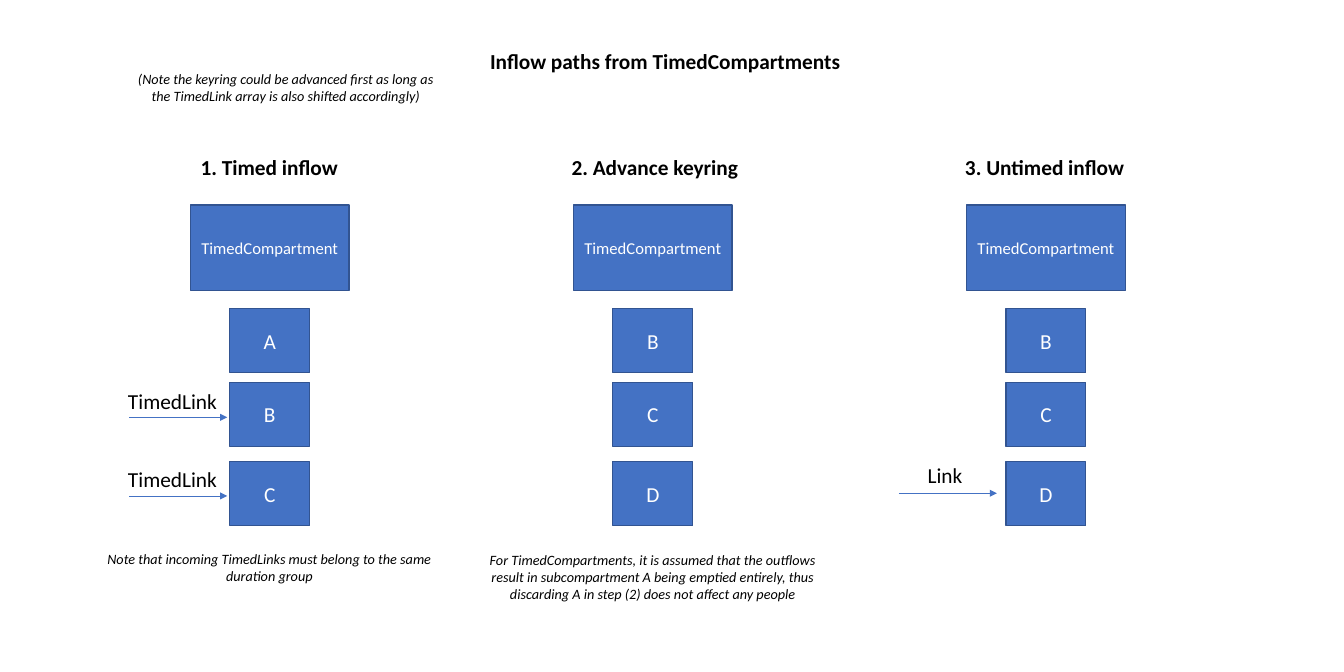
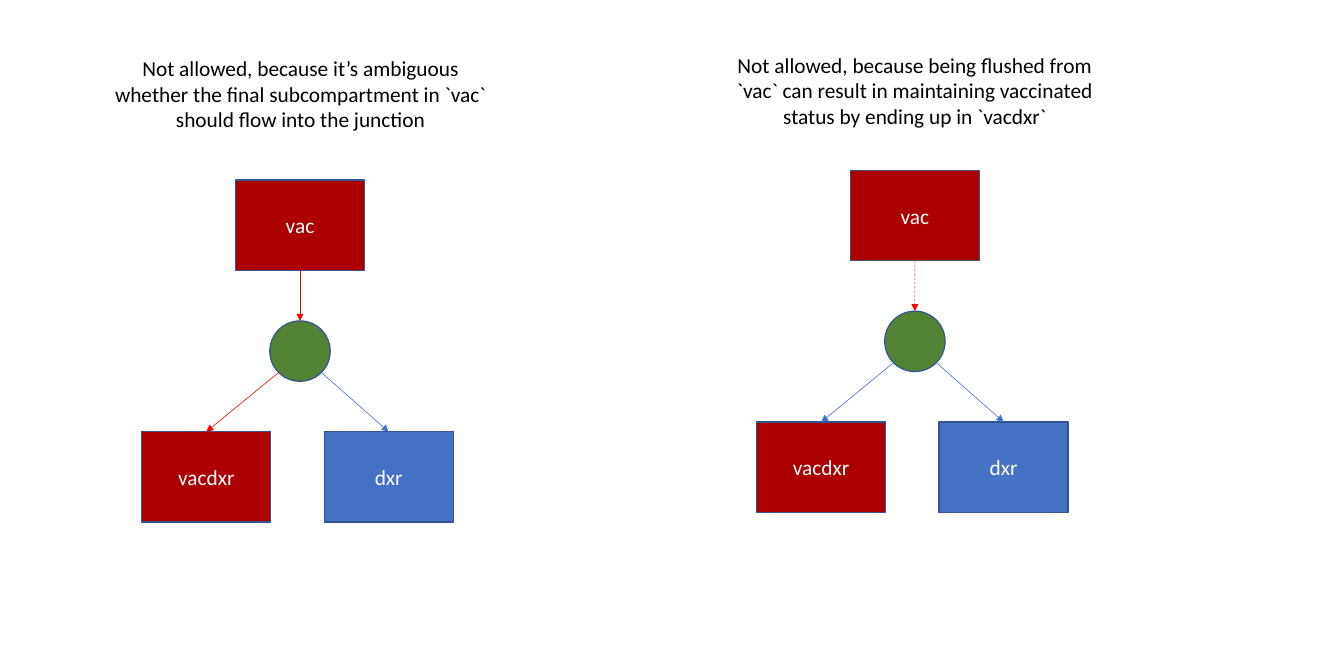
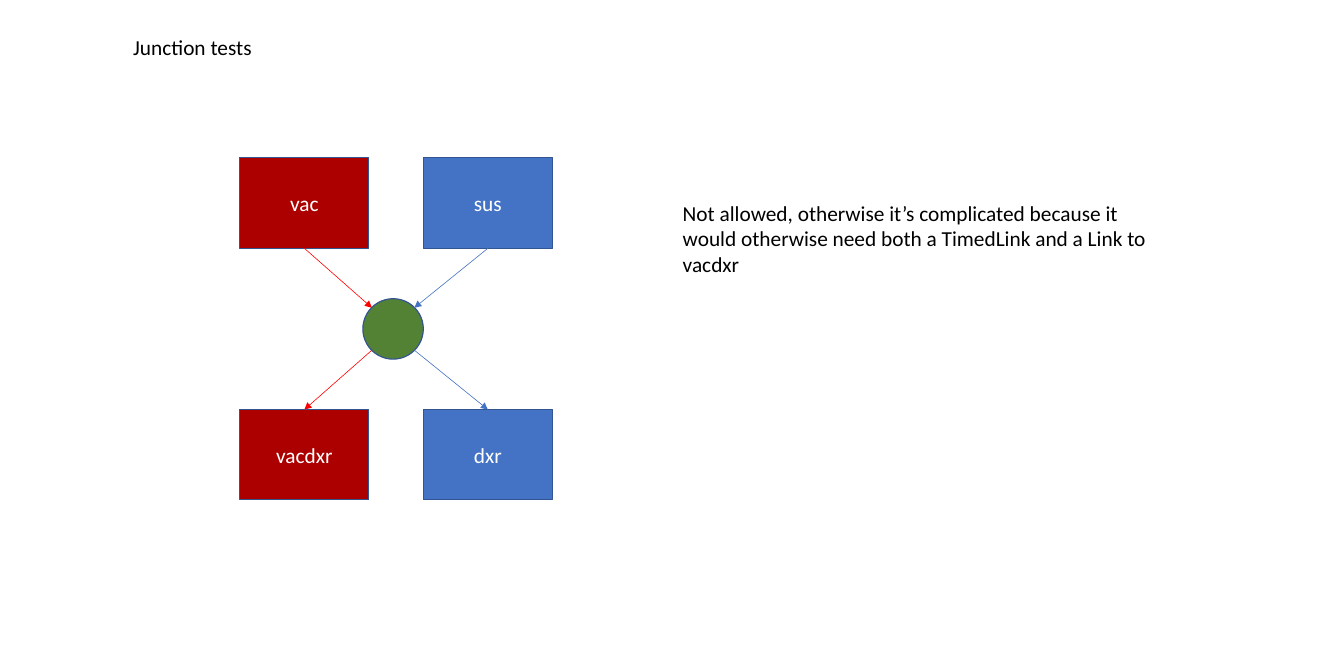
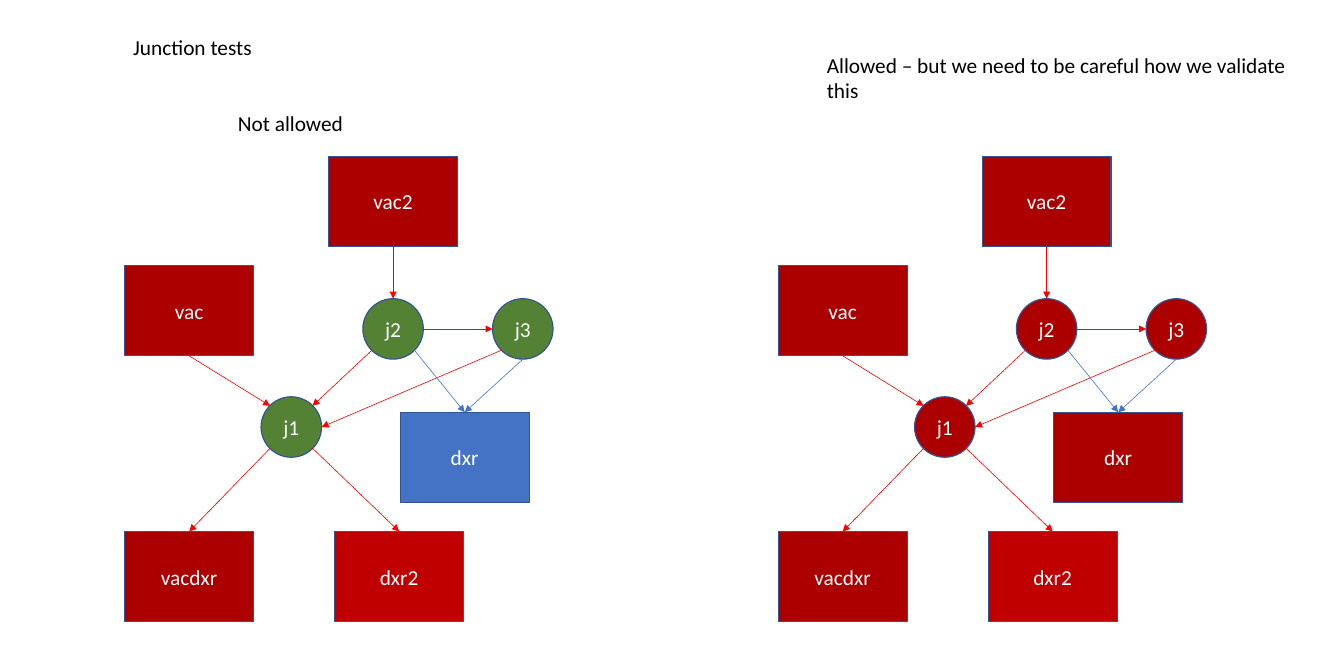
from lxml import etree
from pptx import Presentation
from pptx.dml import color
from pptx.enum import dml, shapes, text
from pptx.oxml import ns
from pptx.util import Cm, Pt

HUES = {"black": "000000", "white": "FFFFFF", "blue": "4472C4", "edge": "325491",
        "dark": "AC0000", "crimson": "C00000", "green": "548235",
        "red": "FF0000", "slate": "44546A"}
RGB = {name: color.RGBColor.from_string(code) for name, code in HUES.items()}
RECT, OVAL = shapes.MSO_SHAPE.RECTANGLE, shapes.MSO_SHAPE.OVAL
LEFT, MID = text.PP_ALIGN.LEFT, text.PP_ALIGN.CENTER
PLAIN = {"name": "Calibri", "size": Pt(18), "bold": False, "italic": False}
BOLD = PLAIN | {"bold": True}
NOTE = PLAIN | {"size": Pt(12), "italic": True}
SMALL = PLAIN | {"size": Pt(14)}


def add(slide, kind, place, words, font=PLAIN, align=LEFT, fill=None, edge="edge"):
    """Add a title, a text box or a filled shape, at a place in cm."""
    place = [Cm(n) for n in place]
    if kind == "title":
        item = slide.shapes.title
        item.left, item.top, item.width, item.height = place
    elif kind == "text":
        item = slide.shapes.add_textbox(*place)
    else:
        item = slide.shapes.add_shape(kind, *place)
        item.shadow.inherit = False
        item.fill.solid()
        item.fill.fore_color.rgb = RGB[fill]
        item.line.color.rgb = RGB[edge]
        item.line.width = Pt(1)
    if not words:
        return
    frame = item.text_frame
    anchor = text.MSO_ANCHOR.MIDDLE if fill else text.MSO_ANCHOR.TOP
    form = {"text": words, "word_wrap": True, "vertical_anchor": anchor,
            "auto_size": text.MSO_AUTO_SIZE.NONE}
    for key, value in form.items():
        setattr(frame, key, value)
    para = frame.paragraphs[0]
    para.alignment = align
    run = para.runs[0]
    for key, value in font.items():
        setattr(run.font, key, value)
    run.font.color.rgb = RGB["white" if fill else "black"]


def link(slide, start, end, hue="blue", dash=False):
    """Draw a thin arrow between two points in cm."""
    line = slide.shapes.add_connector(
        shapes.MSO_CONNECTOR.STRAIGHT, *[Cm(n) for n in (*start, *end)])
    line.line.color.rgb = RGB[hue]
    line.line.width = Pt(0.5)
    if dash:
        line.line.dash_style = dml.MSO_LINE.DASH
    stroke = line.line._get_or_add_ln()
    etree.SubElement(stroke, ns.qn("a:tailEnd"), type="triangle")
    etree.SubElement(line._element.spPr, ns.qn("a:effectLst"))


deck = Presentation()
deck.slide_width, deck.slide_height = Cm(40), Cm(20)
TITLED, BLANK = deck.slide_layouts[5], deck.slide_layouts[6]
flow, allow, cross, chain = [
    deck.slides.add_slide(kind) for kind in (TITLED, BLANK, TITLED, TITLED)]

# Slide 1: three steps of the inflow
add(flow, "title", (14.33, 1.32, 12.5, 1.12), "Inflow paths from TimedCompartments", BOLD)
steps = [(8.03, 5.72, "1. Timed inflow", "ABC"),
         (19.43, 16.76, "2. Advance keyring", "BCD"),
         (31.13, 28.47, "3. Untimed inflow", "BCD")]
for mid, left, head, cells in steps:
    add(flow, "text", (left, 4.45, 6.2, 1.12), head, BOLD)
    add(flow, RECT, (mid - 2.36, 6.1, 4.72, 2.54), "TimedCompartment", SMALL, MID, "blue")
    for cell, top in zip(cells, (9.19, 11.38, 13.74)):
        add(flow, RECT, (mid - 1.19, top, 2.38, 1.91), cell, PLAIN, MID, "blue")

arrows = [(3.84, 12.42, "TimedLink", 3.56, 11.43),
          (3.84, 14.76, "TimedLink", 3.56, 13.74),
          (26.75, 14.68, "Link", 27.36, 13.64)]
for x, y, label, left, top in arrows:
    link(flow, (x, y), (x + 2.92, y))
    add(flow, "text", (left, top, 3.53, 1.12), label)

notes = [
    ((3.71, 1.96, 9.6, 1.27), "(Note the keyring could be advanced first as long as "
     "the TimedLink array is also shifted accordingly)"),
    ((2.79, 16.26, 10.46, 1.27), "Note that incoming TimedLinks must belong to the "
     "same duration group"),
    ((14.2, 16.28, 10.46, 1.8), "For TimedCompartments, it is assumed that the outflows "
     "result in subcompartment A being emptied entirely, thus discarding A in step (2) "
     "does not affect any people"),
]
for place, words in notes:
    add(flow, "text", place, words, NOTE, MID)

# Slides 2 to 4: captions
for slide in (cross, chain):
    add(slide, "title", (3.71, 0.89, 8.89, 1.12), "Junction tests")
captions = [
    (allow, (2.9, 1.52, 12.09, 2.57), MID, "Not allowed, because it’s ambiguous whether "
     "the final subcompartment in `vac` should flow into the junction"),
    (allow, (21.18, 1.42, 12.09, 2.57), MID, "Not allowed, because being flushed from "
     "`vac` can result in maintaining vaccinated status by ending up in `vacdxr`"),
    (cross, (20.07, 5.82, 14.68, 2.57), LEFT, "Not allowed, otherwise it’s complicated "
     "because it would otherwise need both a TimedLink and a Link to vacdxr"),
    (chain, (6.83, 3.15, 14.68, 1.02), LEFT, "Not allowed"),
    (chain, (24.36, 1.42, 14.68, 1.8), LEFT,
     "Allowed – but we need to be careful how we validate this"),
]
for slide, place, align, words in captions:
    add(slide, "text", place, words, PLAIN, align)

# Slides 2 to 4: graphs; junctions are round, the hub has no label
BOX, DOT = (3.84, 2.69), (1.8, 1.8)
ROUND = {"hub", "j1", "j2", "j3"}
SIDES = {"n": (0.5, 0), "s": (0.5, 1), "w": (0, 0.5), "e": (1, 0.5),
         "nw": (0.15, 0.15), "ne": (0.85, 0.15), "sw": (0.15, 0.85), "se": (0.85, 0.85)}

fork = {"vac": (7.01, 5.36, "dark"), "hub": (8.03, 9.55, "green"),
        "vacdxr": (4.22, 12.85, "dark"), "dxr": (9.65, 12.85, "blue")}
star = {"vac": (7.14, 4.7, "dark"), "sus": (12.6, 4.7, "blue"), "hub": (10.8, 8.89, "green"),
        "vacdxr": (7.14, 12.19, "dark"), "dxr": (12.6, 12.19, "blue")}
web = {"vac2": (9.78, 4.65, "dark"), "vac": (3.71, 7.9, "dark"),
       "j1": (7.77, 11.81, "green"), "j2": (10.8, 8.89, "green"),
       "j3": (14.66, 8.89, "green"), "dxr": (11.91, 12.27, "blue"),
       "vacdxr": (3.71, 15.82, "dark"), "dxr2": (9.96, 15.82, "crimson")}

out = ["hub se dxr n blue"]
forced = ["vac s hub n red", "hub sw vacdxr n red"] + out
flushed = ["vac s hub n red dash", "hub sw vacdxr n blue"] + out
joined = ["vac s hub nw red", "sus s hub ne blue", "hub sw vacdxr n red"] + out
mesh = ["vac2 s j2 n red", "vac s j1 nw red", "j2 sw j1 ne red", "j2 e j3 w red",
        "j3 sw j1 e red", "j1 sw vacdxr n red", "j1 se dxr2 n red",
        "j2 se dxr n blue", "j3 s dxr n blue"]

# slide, shift, nodes, links, swapped fills, special edges
graphs = [
    (allow, (0, 0), fork, forced, {}, {}),
    (allow, (18.3, -0.29), fork, flushed, {}, {"vac": "slate"}),
    (cross, (0, 0), star, joined, {}, {}),
    (chain, (0, 0), web, mesh, {}, {}),
    (chain, (19.45, 0), web, mesh, {"green": "dark", "blue": "dark"}, {}),
]
for slide, (dx, dy), nodes, links, swap, edges in graphs:
    spots = {}
    for name, (x, y, hue) in nodes.items():
        kind, size = (OVAL, DOT) if name in ROUND else (RECT, BOX)
        spots[name] = (x + dx, y + dy, *size)
        add(slide, kind, spots[name], "" if name == "hub" else name, PLAIN, MID,
            swap.get(hue, hue), edges.get(name, "edge"))
    for rule in links:
        tail, out_side, head, in_side, hue, *dash = rule.split()
        ends = []
        for name, side in ((tail, out_side), (head, in_side)):
            x, y, w, h = spots[name]
            fx, fy = SIDES[side]
            ends.append((x + fx * w, y + fy * h))
        link(slide, *ends, hue, bool(dash))

deck.save("out.pptx")
